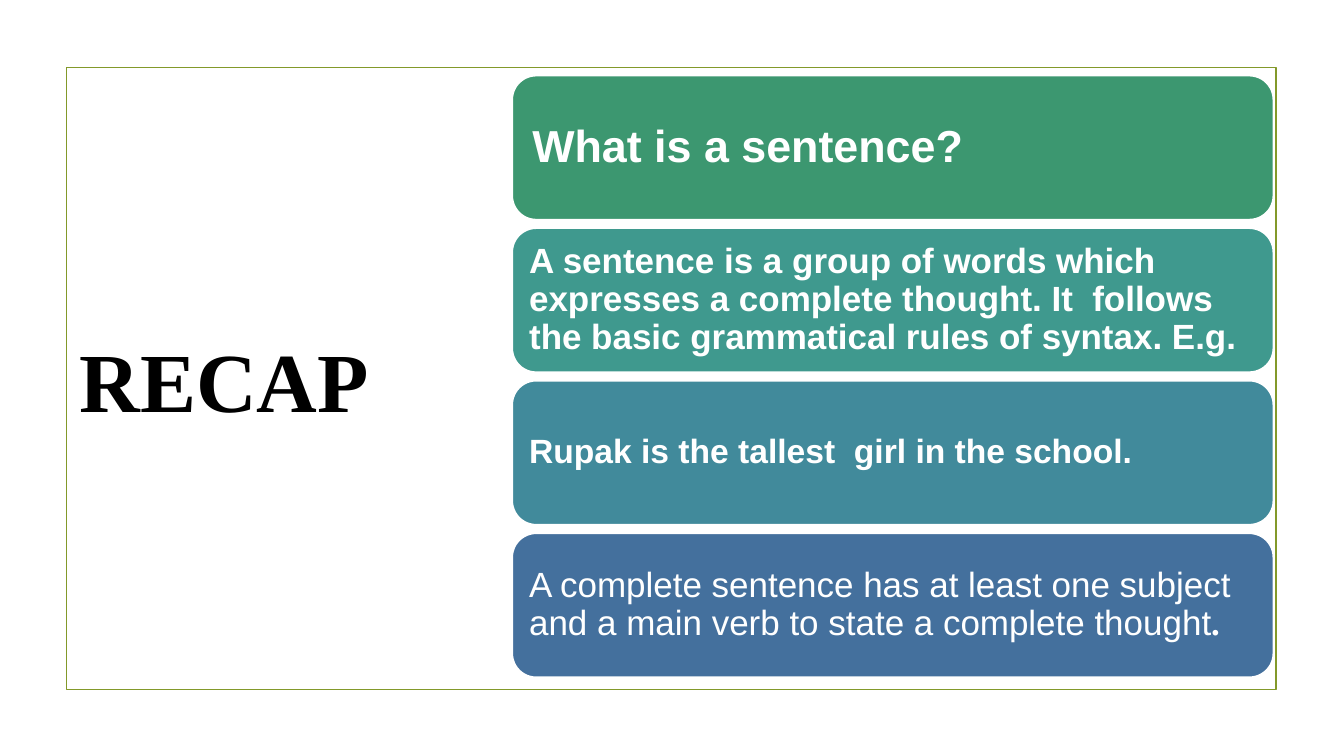
from pptx import Presentation
from pptx.dml.color import RGBColor
from pptx.enum.shapes import MSO_SHAPE
from pptx.enum.text import MSO_ANCHOR, MSO_AUTO_SIZE, PP_ALIGN
from pptx.util import Pt

PX = 9144  # EMU per px, 100 px to the inch
BLACK = RGBColor(0x00, 0x00, 0x00)
WHITE = RGBColor(0xFF, 0xFF, 0xFF)
OLIVE = RGBColor(0x83, 0x99, 0x2A)
GREEN = RGBColor(0x3C, 0x97, 0x70)
TEAL = RGBColor(0x3F, 0x99, 0x8E)
CYAN = RGBColor(0x41, 0x8A, 0x9B)
BLUE = RGBColor(0x44, 0x70, 0x9D)
SERIF = "Times New Roman"
SANS = "Arial"

# Fill, text size, inset in px, runs of (text, font, bold)
CARDS = [
    (GREEN, 32, 13, [("What is a sentence?", SANS, True)]),
    (TEAL, 25, 10, [("A sentence is a group of words which expresses a complete "
                     "thought. It  follows the basic grammatical rules of "
                     "syntax. E.g.", SANS, True)]),
    (CYAN, 24, 10, [("Rupak is the tallest  girl in the school.", SANS, True)]),
    (BLUE, 25, 10, [("A complete sentence has at least one subject and a main "
                     "verb to state a complete thought", SANS, False),
                    (".", SERIF, True)]),
]


def px(*sizes):
    return [round(size * PX) for size in sizes]


def style(item, **values):
    for name, value in values.items():
        setattr(item, name, value)


def write(para, text, size, color, font, bold):
    run = para.add_run()
    run.text = text
    style(run.font, name=font, size=Pt(size), bold=bold)
    run.font.color.rgb = color


def add_box(slide, kind, box, line, fill=None):
    shape = slide.shapes.add_shape(kind, *px(*box))
    shape.shadow.inherit = False
    if fill is None:
        shape.fill.background()
    else:
        shape.fill.solid()
        shape.fill.fore_color.rgb = fill
    shape.line.color.rgb = line
    shape.line.width = Pt(1.25)
    return shape


def add_title(slide, box):
    title = slide.shapes.title
    left, top, width, height = px(*box)
    style(title, left=left, top=top, width=width, height=height)
    style(title.text_frame, word_wrap=True, auto_size=MSO_AUTO_SIZE.NONE,
          vertical_anchor=MSO_ANCHOR.MIDDLE)
    para = title.text_frame.paragraphs[0]
    style(para, alignment=PP_ALIGN.LEFT, space_after=Pt(6))
    write(para, "RECAP", 60, BLACK, SERIF, True)


def add_cards(slide, box, tall=143):
    left, top, width, height = box
    step = (height - tall) / (len(CARDS) - 1)
    for row, (fill, size, pad, runs) in enumerate(CARDS):
        place = (left, top + row * step, width, tall)
        card = add_box(slide, MSO_SHAPE.ROUNDED_RECTANGLE, place, WHITE, fill)
        frame = card.text_frame
        inset = pad * PX
        style(frame, word_wrap=True, vertical_anchor=MSO_ANCHOR.MIDDLE,
              margin_left=inset, margin_right=inset,
              margin_top=inset, margin_bottom=inset)
        para = frame.paragraphs[0]
        style(para, alignment=PP_ALIGN.LEFT, line_spacing=0.9)
        for text, font, bold in runs:
            write(para, text, size, WHITE, font, bold)


def main():
    deck = Presentation()
    deck.slide_width, deck.slide_height = px(1333, 750)
    slide = deck.slides.add_slide(deck.slide_layouts[5])
    # Frame around the content
    add_box(slide, MSO_SHAPE.RECTANGLE, (66, 67, 1200, 617), OLIVE)
    # Heading on the left, cards on the right
    add_title(slide, (69, 70, 374, 611))
    add_cards(slide, (508, 75, 755, 597))
    deck.save("out.pptx")


if __name__ == "__main__":
    main()
